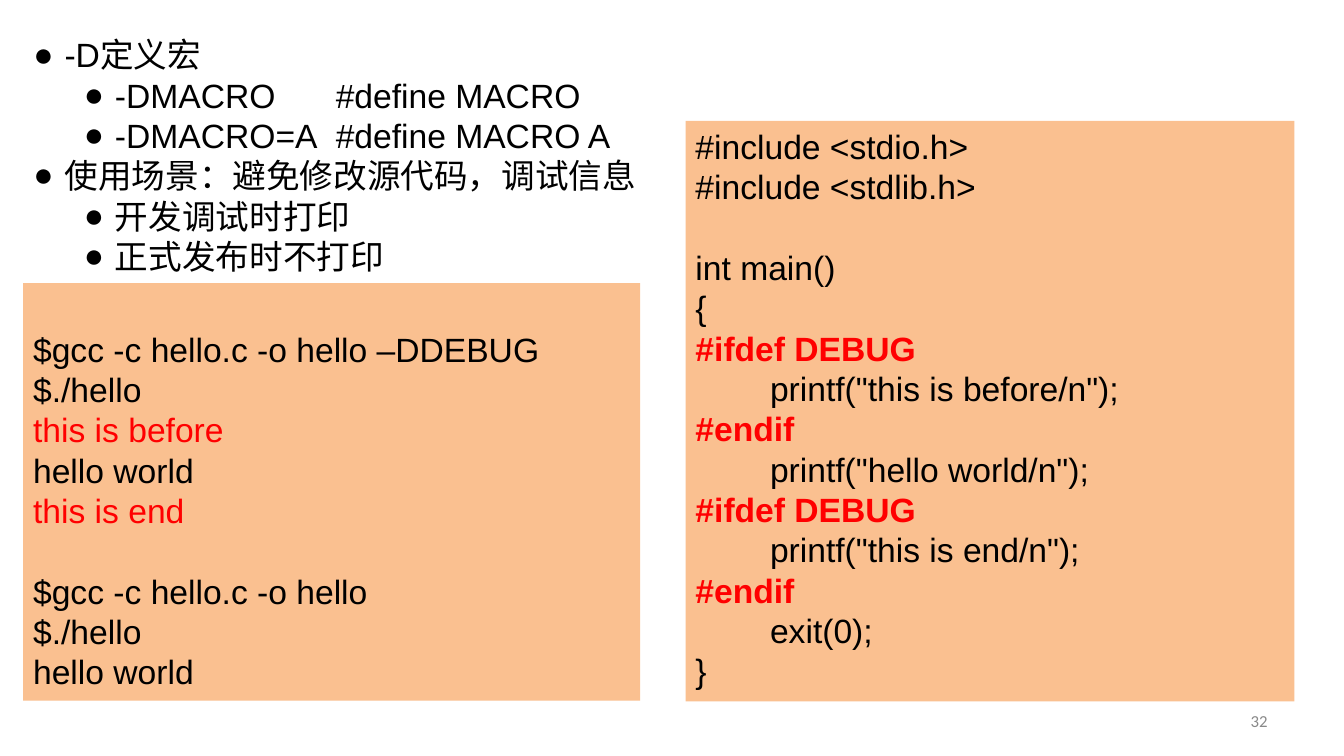
from dataclasses import dataclass

from lxml.etree import SubElement
from pptx import Presentation
from pptx.dml.color import RGBColor
from pptx.enum.shapes import MSO_SHAPE
from pptx.enum.text import MSO_ANCHOR, MSO_AUTO_SIZE, PP_ALIGN
from pptx.oxml.ns import qn
from pptx.slide import Slide
from pptx.text.text import TextFrame, _Paragraph
from pptx.util import Emu, Inches, Pt


@dataclass(frozen=True)
class Theme:
    font: str = "Arial"
    foot: str = "Calibri"
    size: Pt = Pt(24)
    small: Pt = Pt(12)
    pitch: Pt = Pt(28.8)
    ink: RGBColor = RGBColor(0, 0, 0)
    red: RGBColor = RGBColor(255, 0, 0)
    gray: RGBColor = RGBColor(0x89, 0x89, 0x89)
    panel: RGBColor = RGBColor(0xFA, 0xC0, 0x90)


@dataclass(frozen=True)
class Area:
    """A place on a grid of 100 columns and 100 rows."""
    col: float
    row: float
    cols: float
    rows: float


@dataclass(frozen=True)
class Line:
    text: str
    red: bool = False
    bold: bool = False
    gap: bool = False  # one open line above


@dataclass(frozen=True)
class Item:
    text: str
    level: int = 0


@dataclass(frozen=True)
class Panel:
    area: Area
    lines: tuple[Line, ...]
    lead: int = 0  # open lines at the top


THEME = Theme()
WIDE, HIGH = Inches(13.33), Inches(7.5)
HANG, STEP = Inches(0.31), Inches(0.5)
LIST = Area(1.73, 3.87, 47.64, 33.6)
FOOT = Area(71.72, 92.67, 23.33, 5.33)

ITEMS = (
    Item("-D定义宏"),
    Item("-DMACRO \t#define MACRO", 1),
    Item("-DMACRO=A \t#define MACRO A", 1),
    Item("使用场景：避免修改源代码，调试信息"),
    Item("开发调试时打印", 1),
    Item("正式发布时不打印", 1),
)


def guard(text: str) -> Line:
    return Line(text, red=True, bold=True)


PANELS = (
    Panel(Area(51.01, 16, 45.31, 76.8), (
        Line("#include <stdio.h>"),
        Line("#include <stdlib.h>"),
        Line("int main()", gap=True),
        Line("{"),
        guard("#ifdef DEBUG"),
        Line('        printf("this is before/n");'),
        guard("#endif"),
        Line('        printf("hello world/n");'),
        guard("#ifdef DEBUG"),
        Line('        printf("this is end/n");'),
        guard("#endif"),
        Line("        exit(0);"),
        Line("}"),
    )),
    Panel(Area(1.73, 37.47, 45.91, 55.2), (
        Line("$gcc -c hello.c -o hello –DDEBUG"),
        Line("$./hello"),
        Line("this is before", red=True),
        Line("hello world"),
        Line("this is end", red=True),
        Line("$gcc -c hello.c -o hello", gap=True),
        Line("$./hello"),
        Line("hello world"),
    ), lead=1),
)


def place(area: Area) -> tuple[Emu, Emu, Emu, Emu]:
    return (Emu(int(WIDE * area.col / 100)), Emu(int(HIGH * area.row / 100)),
            Emu(int(WIDE * area.cols / 100)), Emu(int(HIGH * area.rows / 100)))


def setup(frame: TextFrame, anchor: MSO_ANCHOR = MSO_ANCHOR.TOP) -> None:
    frame.word_wrap = True
    frame.auto_size = MSO_AUTO_SIZE.NONE
    frame.vertical_anchor = anchor


def start(frame: TextFrame, index: int, gap: bool = False) -> _Paragraph:
    para = frame.add_paragraph() if index else frame.paragraphs[0]
    para.alignment = PP_ALIGN.LEFT
    para.line_spacing = THEME.pitch
    para.space_before = THEME.pitch if gap else Pt(0)
    return para


def write(para: _Paragraph, text: str, color: RGBColor = THEME.ink,
          bold: bool = False, size: Pt = THEME.size,
          face: str = THEME.font) -> None:
    run = para.add_run()
    run.text = text
    run.font.name, run.font.size, run.font.bold = face, size, bold
    run.font.color.rgb = color


def bullet(para: _Paragraph, level: int) -> None:
    para.level = level
    props = para._p.get_or_add_pPr()
    props.set("marL", str(HANG + level * STEP))
    props.set("indent", str(-HANG))
    props.set("defTabSz", str(Inches(1)))
    SubElement(props, qn("a:buFont")).set("typeface", THEME.font)
    SubElement(props, qn("a:buChar")).set("char", "●")


def draw_list(slide: Slide) -> None:
    body = slide.placeholders[1]
    body.left, body.top, body.width, body.height = place(LIST)
    setup(body.text_frame)
    for index, item in enumerate(ITEMS):
        para = start(body.text_frame, index)
        bullet(para, item.level)
        write(para, item.text)


def draw_panel(slide: Slide, panel: Panel) -> None:
    box = slide.shapes.add_shape(MSO_SHAPE.RECTANGLE, *place(panel.area))
    box.shadow.inherit = False
    box.fill.solid()
    box.fill.fore_color.rgb = THEME.panel
    box.line.fill.background()
    frame = box.text_frame
    setup(frame)
    frame.margin_top = Inches(0.05) + panel.lead * THEME.pitch
    for index, line in enumerate(panel.lines):
        para = start(frame, index, line.gap)
        write(para, line.text, THEME.red if line.red else THEME.ink, line.bold)


def draw_foot(slide: Slide) -> None:
    frame = slide.shapes.add_textbox(*place(FOOT)).text_frame
    setup(frame, MSO_ANCHOR.MIDDLE)
    para = frame.paragraphs[0]
    para.alignment = PP_ALIGN.RIGHT
    write(para, "32", THEME.gray, size=THEME.small, face=THEME.foot)


def main() -> None:
    deck = Presentation()
    deck.slide_width, deck.slide_height = WIDE, HIGH
    slide = deck.slides.add_slide(deck.slide_layouts[1])

    # The slide has no title
    title = slide.shapes.title._element
    title.getparent().remove(title)

    # Page number, options list, code and console
    draw_foot(slide)
    draw_list(slide)
    for panel in PANELS:
        draw_panel(slide, panel)
    deck.save("out.pptx")


if __name__ == "__main__":
    main()
